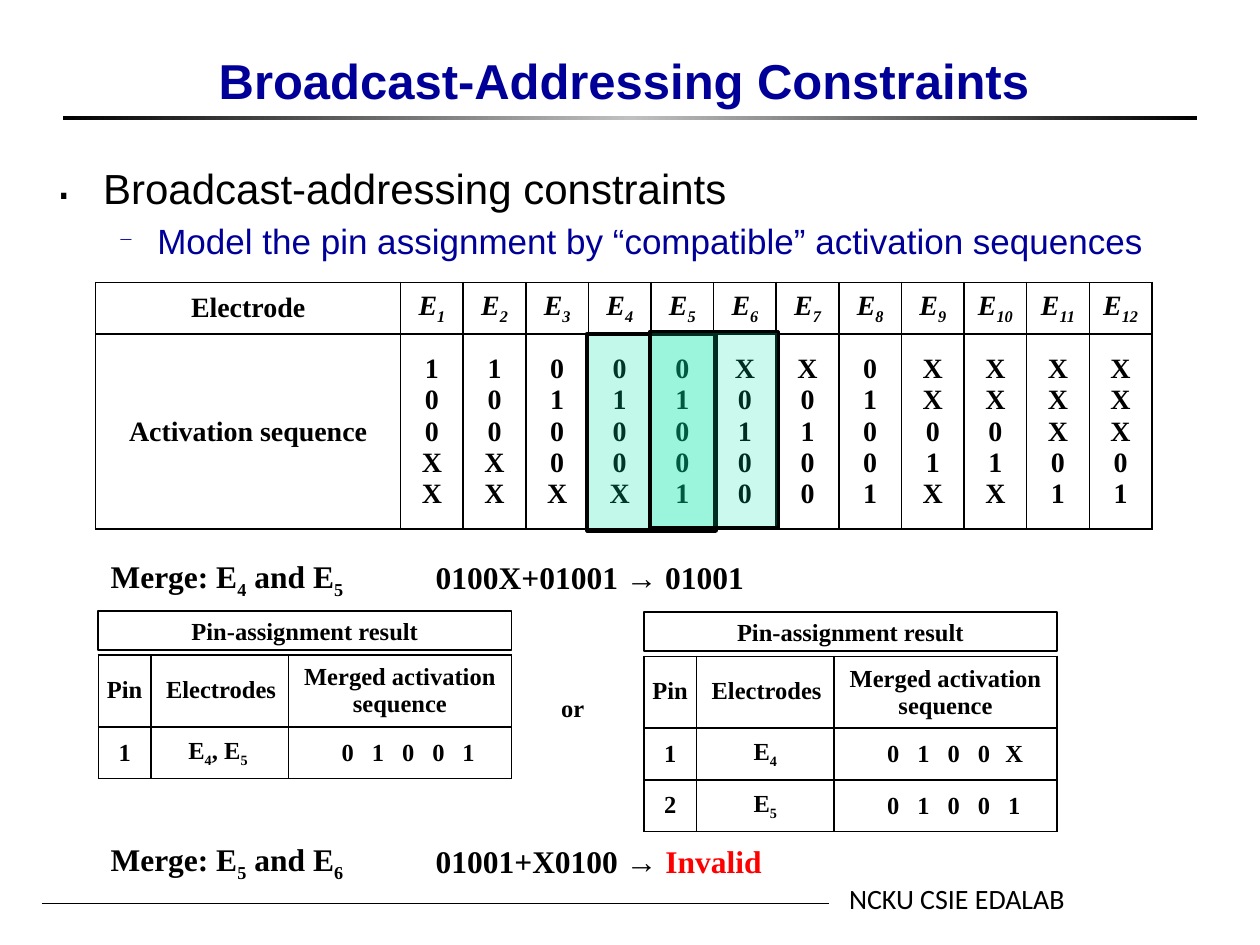
from dataclasses import dataclass

from lxml.etree import SubElement
from pptx import Presentation
from pptx.dml.color import RGBColor
from pptx.enum.shapes import MSO_CONNECTOR, MSO_SHAPE
from pptx.enum.text import MSO_ANCHOR, PP_ALIGN
from pptx.oxml.ns import qn
from pptx.slide import Slide
from pptx.util import Inches, Pt

BLACK = RGBColor(0x00, 0x00, 0x00)
WHITE = RGBColor(0xFF, 0xFF, 0xFF)
SILVER = RGBColor(0xC0, 0xC0, 0xC0)
NAVY = RGBColor(0x00, 0x00, 0x99)
RED = RGBColor(0xFF, 0x00, 0x00)
MINT = RGBColor(0x00, 0xE4, 0xA8)

SEQUENCES = ["100XX", "100XX", "0100X", "0100X", "01001", "X0100",
             "X0100", "01001", "XX01X", "XX01X", "XXX01", "XXX01"]


@dataclass
class SlideBuilder:
    slide: Slide
    font: str = "Times New Roman"
    color: RGBColor = BLACK

    def run(self, paragraph, text, size, bold=True, italic=False,
            color=None, font=None, subscript=False):
        run = paragraph.add_run()
        run.text = text
        run.font.name = font or self.font
        run.font.size = Pt(size)
        run.font.bold = bold
        run.font.italic = italic
        run.font.color.rgb = color or self.color
        if subscript:
            run._r.get_or_add_rPr().set("baseline", "-25000")

    def fill_text(self, frame, lines, size, align=PP_ALIGN.CENTER, **style):
        """Write lines; in each line every second piece is a subscript."""
        for index, pieces in enumerate(lines):
            paragraph = frame.paragraphs[0] if index == 0 else frame.add_paragraph()
            paragraph.alignment = align
            for position, piece in enumerate(pieces):
                self.run(paragraph, piece, size, subscript=position % 2 == 1, **style)

    def text_box(self, left, top, width, height, pieces, size,
                 align=PP_ALIGN.LEFT, anchor=MSO_ANCHOR.TOP, **style):
        box = self.slide.shapes.add_textbox(
            Inches(left), Inches(top), Inches(width), Inches(height))
        frame = box.text_frame
        frame.word_wrap = True
        frame.vertical_anchor = anchor
        self.fill_text(frame, [pieces], size, align, **style)
        return frame

    def bullet(self, paragraph, text, size, color, indent, hanging, mark, percent):
        self.run(paragraph, text, size, bold=False, color=color, font="Arial")
        paragraph.space_before = Pt(size * 0.2)
        properties = paragraph._p.get_or_add_pPr()
        properties.set("marL", str(Inches(indent)))
        properties.set("indent", str(-Inches(hanging)))
        bullet_color = SubElement(properties, qn("a:buClr"))
        SubElement(bullet_color, qn("a:srgbClr"), val=str(color))
        SubElement(properties, qn("a:buSzPct"), val=str(percent * 1000))
        SubElement(properties, qn("a:buChar"), char=mark)

    def rectangle(self, left, top, width, height, fill=WHITE, line=BLACK,
                  line_width=1, opacity=None, text=None):
        shape = self.slide.shapes.add_shape(
            MSO_SHAPE.RECTANGLE, Inches(left), Inches(top), Inches(width), Inches(height))
        shape.shadow.inherit = False
        shape.fill.solid()
        shape.fill.fore_color.rgb = fill
        shape.line.color.rgb = line
        shape.line.width = Pt(line_width)
        if opacity is not None:
            color = shape._element.spPr.find(qn("a:solidFill")).find(qn("a:srgbClr"))
            SubElement(color, qn("a:alpha"), val=str(opacity * 1000))
        if text:
            shape.text_frame.vertical_anchor = MSO_ANCHOR.MIDDLE
            self.fill_text(shape.text_frame, [[text]], 14)

    def gradient_bar(self, left, top, width, height, colors):
        shape = self.slide.shapes.add_shape(
            MSO_SHAPE.RECTANGLE, Inches(left), Inches(top), Inches(width), Inches(height))
        shape.shadow.inherit = False
        shape.line.fill.background()
        shape.fill.gradient()
        shape.fill.gradient_angle = 0
        stops = shape._element.spPr.find(qn("a:gradFill")).find(qn("a:gsLst"))
        for stop in list(stops):
            stops.remove(stop)
        for index, color in enumerate(colors):
            position = 100000 * index // (len(colors) - 1)
            stop = SubElement(stops, qn("a:gs"), pos=str(position))
            SubElement(stop, qn("a:srgbClr"), val=str(color))

    def line(self, left, top, right, bottom, width):
        connector = self.slide.shapes.add_connector(
            MSO_CONNECTOR.STRAIGHT, Inches(left), Inches(top), Inches(right), Inches(bottom))
        connector.line.color.rgb = self.color
        connector.line.width = Pt(width)
        SubElement(connector._element.spPr, qn("a:effectLst"))

    def borders(self, cell, visible):
        properties = cell._tc.get_or_add_tcPr()
        for side in ("a:lnL", "a:lnR", "a:lnT", "a:lnB"):
            border = SubElement(properties, qn(side), w=str(Pt(1)))
            if visible:
                fill = SubElement(border, qn("a:solidFill"))
                SubElement(fill, qn("a:srgbClr"), val=str(self.color))
            else:
                SubElement(border, qn("a:noFill"))

    def table(self, left, top, widths, heights, rows, size, bordered=True, margin=0.05):
        """Each cell is a list of lines, each line a list of pieces."""
        table = self.slide.shapes.add_table(
            len(heights), len(widths), Inches(left), Inches(top),
            Inches(sum(widths)), Inches(sum(heights))).table
        table.first_row = table.horz_banding = False
        for column, width in zip(table.columns, widths):
            column.width = Inches(width)
        for row, height, contents in zip(table.rows, heights, rows):
            row.height = Inches(height)
            for cell, lines in zip(row.cells, contents):
                self.borders(cell, bordered)
                cell.fill.background()
                cell.vertical_anchor = MSO_ANCHOR.MIDDLE
                cell.margin_left = cell.margin_right = Inches(margin)
                self.fill_text(cell.text_frame, lines, size)
        return table

    def pin_result(self, left, top, assignments):
        """Draw a result panel from (electrode pieces, sequence) pairs."""
        header, row = 0.57, 0.41
        rows = [[[], [], [["Merged activation"], ["sequence"]]]]
        for pin, (electrodes, _) in enumerate(assignments, 1):
            rows.append([[[str(pin)]], [electrodes], []])
        count = len(assignments)
        table_top = top + 0.35
        self.table(left, table_top, [0.42, 1.09, 1.77], [header] + [row] * count, rows, 14)
        for offset, width, label in ((-0.03, 0.7, "Pin"), (0.44, 1.1, "Electrodes")):
            self.text_box(left + offset, top + 0.45, width, 0.34, [label], 14)
        digits = [[[[digit]] for digit in sequence] for _, sequence in assignments]
        self.table(left + 1.86, table_top + header, [0.24] * 5, [row] * count, digits, 14,
                   bordered=False, margin=0)
        self.rectangle(left, top, 3.28, 0.31, text="Pin-assignment result")


def main():
    presentation = Presentation()
    presentation.slide_width, presentation.slide_height = Inches(10), Inches(7.5)
    builder = SlideBuilder(presentation.slides.add_slide(presentation.slide_layouts[6]))

    builder.gradient_bar(0.5, 0.92, 9, 0.03, [BLACK, SILVER, BLACK])
    builder.line(0.33, 7.17, 6.58, 7.17, 0.5)
    builder.text_box(6.64, 6.95, 2.19, 0.37, ["NCKU CSIE EDALAB"], 16,
                     bold=False, font="Calibri")
    builder.text_box(0.55, 0, 8.91, 0.92, ["Broadcast-Addressing Constraints "], 28,
                     PP_ALIGN.CENTER, MSO_ANCHOR.BOTTOM, color=NAVY, font="Arial")

    body = builder.text_box(0.34, 1.24, 9.08, 1.34, [], 24)
    builder.bullet(body.paragraphs[0], "Broadcast-addressing constraints",
                   24, BLACK, 0.38, 0.38, "․", 120)
    detail = body.add_paragraph()
    detail.level = 1
    builder.bullet(detail, "Model the pin assignment by “compatible” activation sequences",
                   20, NAVY, 0.81, 0.31, "─", 55)

    names = [[["E", str(number)]] for number in range(1, len(SEQUENCES) + 1)]
    columns = [[[digit] for digit in sequence] for sequence in SEQUENCES]
    sequence_table = builder.table(
        0.76, 2.24, [2.42] + [0.497] * len(SEQUENCES), [0.41, 1.55],
        [[[["Electrode"]]] + names, [[["Activation sequence"]]] + columns], 16)
    for cell in list(sequence_table.rows[0].cells)[1:]:
        for run in cell.text_frame.paragraphs[0].runs:
            run.font.italic = True

    for top, first, second in ((4.37, "4", "5"), (6.62, "5", "6")):
        builder.text_box(0.78, top, 3.2, 0.4, ["Merge: E", first, " and E", second], 18)
    builder.text_box(3.36, 4.38, 4.45, 0.4, ["0100X+01001 → 01001"], 18)
    invalid = builder.text_box(3.36, 6.63, 3.2, 0.4, ["01001+X0100 → "], 18)
    builder.run(invalid.paragraphs[0], "Invalid", 18, color=RED)

    builder.rectangle(4.66, 2.65, 1.02, 1.56, MINT, line_width=2.5, opacity=24)
    builder.rectangle(5.16, 2.63, 1.02, 1.56, MINT, line_width=2, opacity=20)

    builder.pin_result(5.11, 4.86, [(["E", "4"], "0100X"), (["E", "5"], "01001")])
    builder.pin_result(0.78, 4.85, [(["E", "4", ", E", "5 "], "01001")])
    builder.rectangle(4.27, 5.46, 0.55, 0.31, line=WHITE, text="or")

    presentation.save("out.pptx")


if __name__ == "__main__":
    main()
